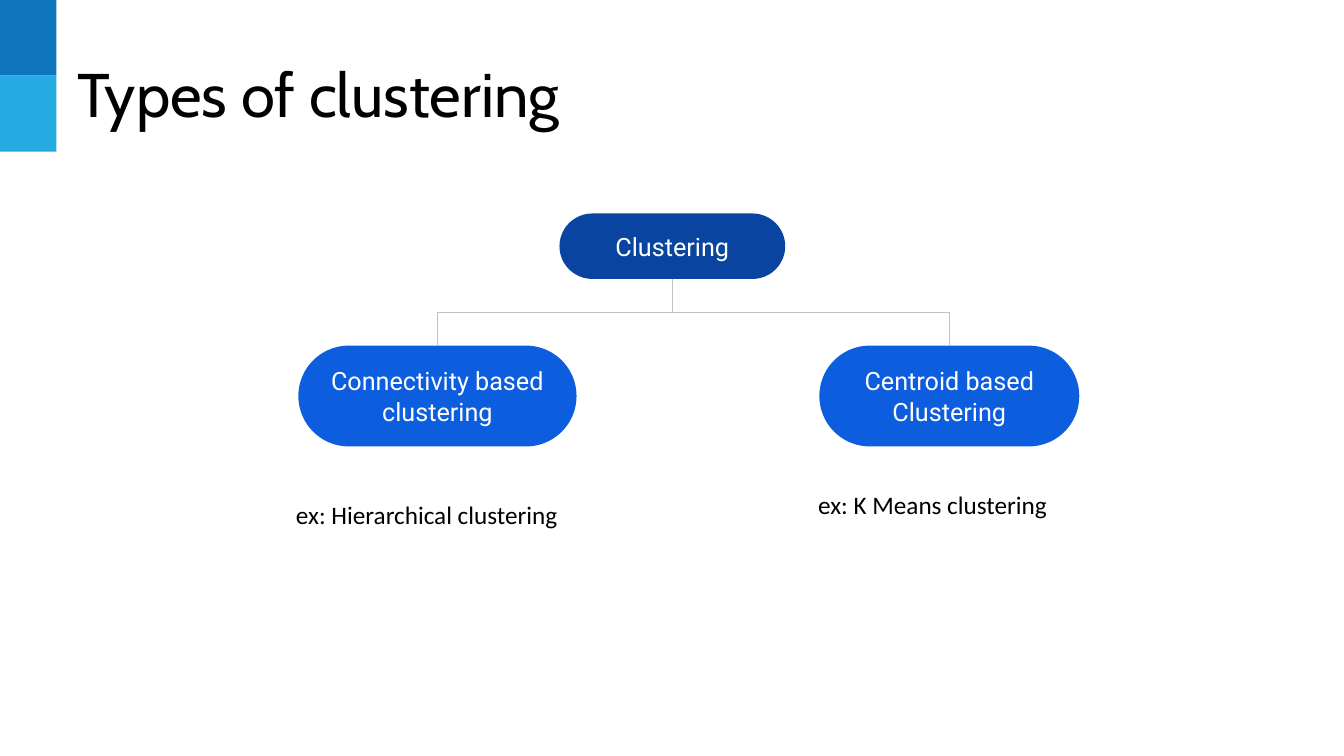
from lxml.etree import SubElement
from pptx import Presentation
from pptx.dml.color import RGBColor
from pptx.enum.shapes import MSO_CONNECTOR, MSO_SHAPE
from pptx.enum.text import MSO_ANCHOR, PP_ALIGN
from pptx.oxml.ns import qn
from pptx.util import Cm, Pt

TOP, BOTTOM = 0, 2


def paint(color_format, color):
    color_format.rgb = RGBColor.from_string(color)


def add_block(slide, preset, left, top, width, height, color):
    block = slide.shapes.add_shape(preset, Cm(left), Cm(top), Cm(width), Cm(height))
    block.shadow.inherit = False
    block.fill.solid()
    paint(block.fill.fore_color, color)
    block.line.fill.background()
    return block


def write(holder, text, font, size, color, align, anchor, inset_x, inset_y):
    frame = holder.text_frame
    frame.word_wrap = True
    frame.vertical_anchor = anchor
    frame.margin_left = frame.margin_right = Cm(inset_x)
    frame.margin_top = frame.margin_bottom = Cm(inset_y)
    paragraph = frame.paragraphs[0]
    paragraph.alignment = align
    run = paragraph.add_run()
    run.text = text
    run.font.name = font
    run.font.size = Pt(size)
    paint(run.font.color, color)


def add_pill(slide, text, left, top, width, height, color):
    pill = add_block(slide, MSO_SHAPE.ROUNDED_RECTANGLE, left, top, width, height, color)
    pill.adjustments[0] = 0.5
    write(pill, text, "Roboto", 18, "FFFFFF", PP_ALIGN.CENTER, MSO_ANCHOR.MIDDLE, 0.32, 0.32)
    return pill


def add_label(slide, text, left, top, width, height, font, size, anchor, inset_y):
    label = slide.shapes.add_textbox(Cm(left), Cm(top), Cm(width), Cm(height))
    write(label, text, font, size, "000000", PP_ALIGN.LEFT, anchor, 0.25, inset_y)


def add_branch(slide, parent, child):
    branch = slide.shapes.add_connector(MSO_CONNECTOR.ELBOW, 0, 0, 0, 0)
    branch.begin_connect(parent, BOTTOM)
    branch.end_connect(child, TOP)
    to_right = branch.end_x > branch.begin_x
    center_x = (branch.begin_x + branch.end_x) // 2
    center_y = (branch.begin_y + branch.end_y) // 2
    span, drop = branch.width, branch.height

    branch.left, branch.top = center_x - drop // 2, center_y - span // 2
    branch.width, branch.height = drop, span
    branch.rotation = 270 if to_right else 90
    properties = branch._element.spPr
    properties.find(qn("a:xfrm")).set("flipH", "1" if to_right else "0")

    paint(branch.line.color, "C2C2C2")
    branch.line.width = Pt(0.75)
    SubElement(properties, qn("a:effectLst"))


def main():
    presentation = Presentation()
    presentation.slide_width, presentation.slide_height = Cm(33.87), Cm(19.05)
    slide = presentation.slides.add_slide(presentation.slide_layouts[6])

    for row, color in enumerate(("0F75BD", "25AAE2")):
        add_block(slide, MSO_SHAPE.RECTANGLE, 0, row * 1.91, 1.42, 1.91, color)
    add_label(slide, "Types of clustering", 1.7, 0.76, 30.48, 3.18,
              "Cabin", 44, MSO_ANCHOR.MIDDLE, 0.13)

    clustering = add_pill(slide, "Clustering", 14.1, 5.38, 5.69, 1.65, "0944A1")
    kinds = (
        ("Centroid based Clustering", 20.65, 6.55, "ex: K Means clustering", 20.37, 12.09),
        ("Connectivity based clustering", 7.52, 7.01, "ex: Hierarchical clustering", 7.21, 12.34),
    )
    for kind, left, width, example, example_left, example_top in kinds:
        pill = add_pill(slide, kind, left, 8.71, width, 2.54, "0D5DDF")
        add_branch(slide, clustering, pill)
        add_label(slide, example, example_left, example_top, 8.1, 1.7,
                  "Calibri", 18, MSO_ANCHOR.TOP, 0.25)

    presentation.save("out.pptx")


if __name__ == "__main__":
    main()
